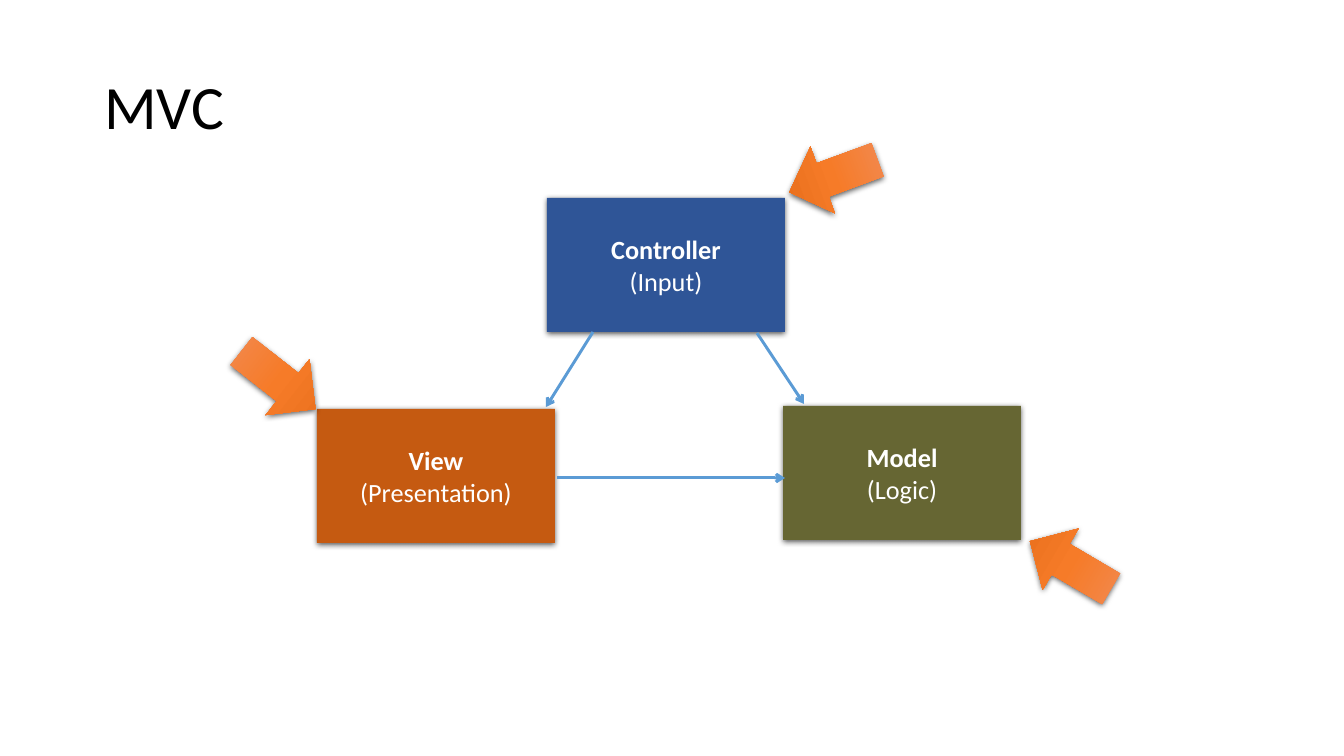
import pptx
import pptx.util
import pptx.dml.color
import pptx.enum.shapes
import pptx.enum.text
import pptx.oxml
import pptx.oxml.ns

RGB = pptx.dml.color.RGBColor
MSO_SHAPE = pptx.enum.shapes.MSO_SHAPE
ALIGN = pptx.enum.text.PP_ALIGN
MIDDLE = pptx.enum.text.MSO_ANCHOR.MIDDLE
NS = pptx.oxml.ns.nsdecls("a")

FONT = "Calibri"
BLACK = RGB(0x00, 0x00, 0x00)
WHITE = RGB(0xFF, 0xFF, 0xFF)
BLUE = RGB(0x2F, 0x55, 0x97)
OLIVE = RGB(0x66, 0x66, 0x33)
RUST = RGB(0xC5, 0x5A, 0x11)
LINK_BLUE = RGB(0x5B, 0x9B, 0xD5)
POINTER_STOPS = [
    (0, RGB(0xF1, 0x8C, 0x57)),
    (50, RGB(0xF6, 0x7B, 0x28)),
    (100, RGB(0xE5, 0x6C, 0x19)),
]

# All lengths are px.
SLIDE_SIZE = (1344, 756)
TITLE = "MVC"
TITLE_BOX = (94, 61, 905, 87)
COMPONENT_SIZE = (238, 134)
COMPONENTS = [  # name, role, fill, left and top
    ("Controller", "(Input)", BLUE, (547, 198)),
    ("Model", "(Logic)", OLIVE, (783, 406)),
    ("View", "(Presentation)", RUST, (317, 409)),
]
LINKS = [  # start, end
    ((757, 333), (804, 404)),
    ((593, 332), (546, 407)),
    ((557, 478), (785, 478)),
]
POINTER_SIZE = (71, 94)
POINTERS = [  # left and top, rotation in degrees
    ((798, 129), 69.8),
    ((1035, 518), 120.4),
    ((243, 333), 308.1),
]


def px(*lengths):
    return [round(length * 914400 / 94.5) for length in lengths]


def style_run(paragraph, size, color, bold=False):
    font = paragraph.runs[0].font
    font.name, font.size, font.bold = FONT, pptx.util.Pt(size), bold
    font.color.rgb = color


def add_raised_shape(slide, kind, position, size):
    """Add a shape without outline that has a soft shadow below it."""
    shape = slide.shapes.add_shape(kind, *px(*position, *size))
    shape.line.fill.background()
    shape.shadow.inherit = False
    effects = shape._element.spPr.find(pptx.oxml.ns.qn("a:effectLst"))
    effects.append(pptx.oxml.parse_xml(
        f'<a:outerShdw {NS} blurRad="57150" dist="19050" dir="5400000" '
        'algn="ctr" rotWithShape="0"><a:srgbClr val="000000">'
        '<a:alpha val="63000"/></a:srgbClr></a:outerShdw>'))
    return shape


def add_component(slide, name, role, color, position):
    box = add_raised_shape(slide, MSO_SHAPE.RECTANGLE, position, COMPONENT_SIZE)
    box.fill.solid()
    box.fill.fore_color.rgb = color
    frame = box.text_frame
    frame.vertical_anchor = MIDDLE
    frame.text = f"{name}\n{role}"
    for paragraph, bold in zip(frame.paragraphs, (True, False)):
        paragraph.alignment = ALIGN.CENTER
        style_run(paragraph, 20, WHITE, bold)


def add_link(slide, start, end):
    link = slide.shapes.add_connector(
        pptx.enum.shapes.MSO_CONNECTOR.STRAIGHT, *px(*start, *end))
    link.line.color.rgb = LINK_BLUE
    link.line.width = pptx.util.Pt(2.25)
    link.line._get_or_add_ln().append(
        pptx.oxml.parse_xml(f'<a:tailEnd {NS} type="arrow"/>'))
    link._element.spPr.append(pptx.oxml.parse_xml(f"<a:effectLst {NS}/>"))


def add_pointer(slide, position, rotation):
    pointer = add_raised_shape(slide, MSO_SHAPE.DOWN_ARROW, position, POINTER_SIZE)
    pointer.rotation = rotation
    stops = "".join(
        f'<a:gs pos="{percent * 1000}"><a:srgbClr val="{color}"/></a:gs>'
        for percent, color in POINTER_STOPS)
    gradient = pptx.oxml.parse_xml(
        f'<a:gradFill {NS} rotWithShape="1"><a:gsLst>{stops}</a:gsLst>'
        '<a:lin ang="5400000" scaled="0"/></a:gradFill>')
    pointer._element.spPr.find(pptx.oxml.ns.qn("a:prstGeom")).addnext(gradient)


def add_title(slide):
    title = slide.shapes.title
    title.left, title.top, title.width, title.height = px(*TITLE_BOX)
    frame = title.text_frame
    frame.text = TITLE
    frame.vertical_anchor = MIDDLE
    frame.margin_left = frame.margin_right = pptx.util.Inches(0.11)
    frame.paragraphs[0].alignment = ALIGN.LEFT
    style_run(frame.paragraphs[0], 46.9, BLACK)


def main():
    deck = pptx.Presentation()
    deck.slide_width, deck.slide_height = px(*SLIDE_SIZE)
    slide = deck.slides.add_slide(deck.slide_layouts.get_by_name("Title Only"))
    add_title(slide)
    for component in COMPONENTS:
        add_component(slide, *component)
    for link in LINKS:
        add_link(slide, *link)
    for pointer in POINTERS:
        add_pointer(slide, *pointer)
    deck.save("out.pptx")


if __name__ == "__main__":
    main()
